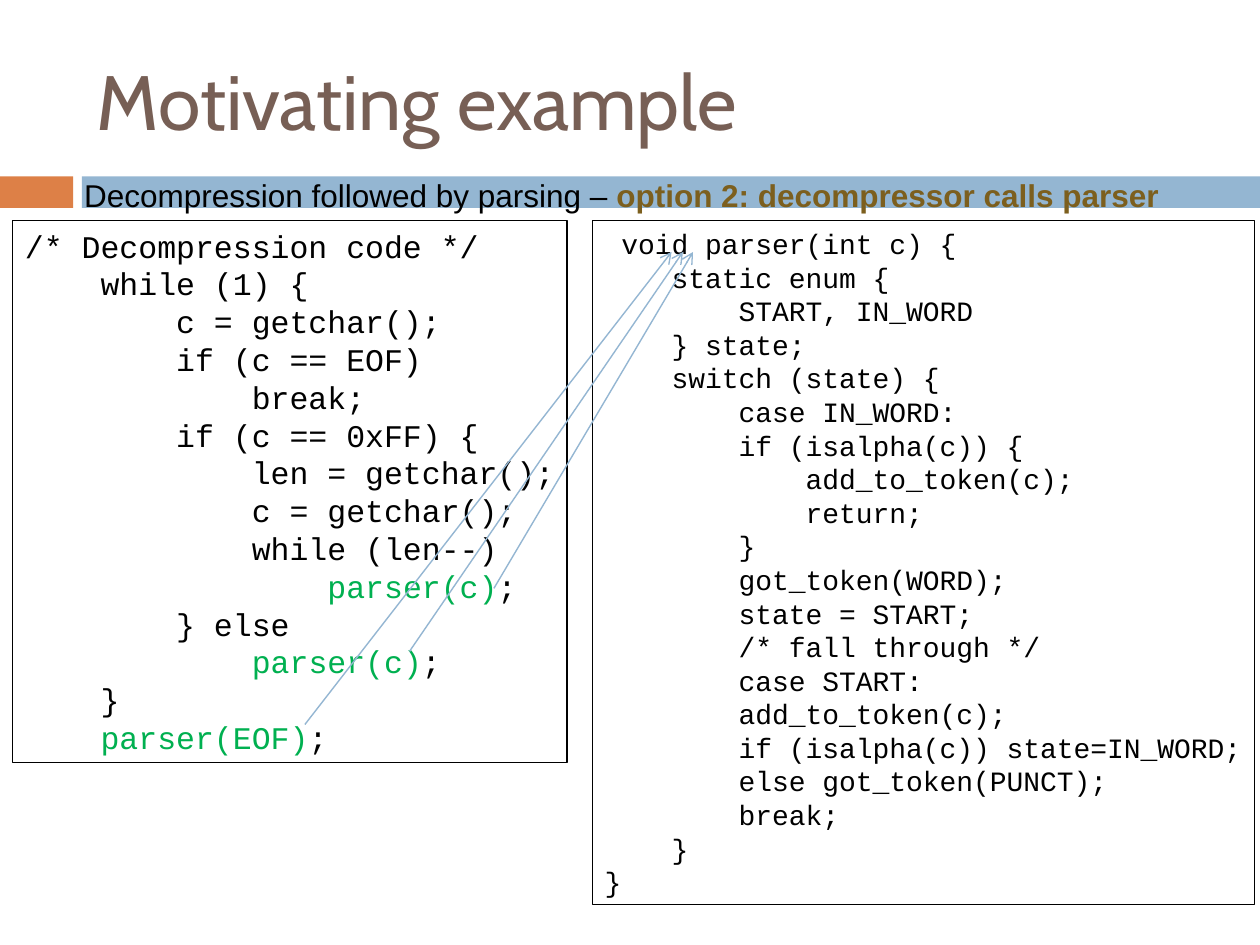
from dataclasses import dataclass

from lxml import etree
from pptx import Presentation
from pptx.dml.color import RGBColor
from pptx.enum import shapes, text
from pptx.oxml import ns
from pptx.util import Inches, Pt

BLACK, GREEN, BLUE, ORANGE = "000000", "00B050", "94B6D2", "DD8047"
BROWN, OCHRE = "775F55", "7C5F1E"

DECOMPRESSOR = """\
/* Decompression code */
    while (1) {
        c = getchar();
        if (c == EOF)
            break;
        if (c == 0xFF) {
            len = getchar();
            c = getchar();
            while (len--)
                parser(c);
        } else
            parser(c);
    }
    parser(EOF);"""

PARSER = """\
 void parser(int c) {
    static enum {
        START, IN_WORD
    } state;
    switch (state) {
        case IN_WORD:
        if (isalpha(c)) {
            add_to_token(c);
            return;
        }
        got_token(WORD);
        state = START;
        /* fall through */
        case START:
        add_to_token(c);
        if (isalpha(c)) state=IN_WORD;
        else got_token(PUNCT);
        break;
    }
}"""


@dataclass
class Box:
    left: float
    top: float
    width: float
    height: float

    def lengths(self):
        return [Inches(v) for v in (self.left, self.top, self.width, self.height)]


@dataclass
class Run:
    text: str
    color: str = BLACK
    bold: bool = False


@dataclass
class CodePanel:
    box: Box
    code: str
    size: int


@dataclass
class Call:
    """Arrow from a call in the left panel to the function it calls."""
    start: tuple[float, float]
    end: tuple[float, float]


BARS = [(Box(0, 1.4, 0.58, 0.25), ORANGE), (Box(0.65, 1.4, 9.35, 0.25), BLUE)]
PANELS = [
    CodePanel(Box(0.1, 1.75, 4.4, 4.3), DECOMPRESSOR, 18),
    CodePanel(Box(4.7, 1.75, 5.26, 5.43), PARSER, 16),
]
CALLS = [
    Call((3.92, 4.67), (5.5, 2)),
    Call((3.25, 5.17), (5.42, 2)),
    Call((2.42, 5.75), (5.33, 2)),
]


def rgb(color: str) -> RGBColor:
    return RGBColor.from_string(color)


def add_bar(slide, box: Box, color: str) -> None:
    bar = slide.shapes.add_shape(shapes.MSO_SHAPE.RECTANGLE, *box.lengths())
    bar.shadow.inherit = False
    bar.fill.solid()
    bar.fill.fore_color.rgb = rgb(color)
    bar.line.fill.background()


def add_text(slide, box: Box, lines: list[list[Run]], font: str, size: int):
    """Add an unwrapped text box that grows with its lines."""
    shape = slide.shapes.add_textbox(*box.lengths())
    frame = shape.text_frame
    frame.word_wrap = False
    frame.auto_size = text.MSO_AUTO_SIZE.SHAPE_TO_FIT_TEXT
    for index, line in enumerate(lines):
        paragraph = frame.paragraphs[0] if index == 0 else frame.add_paragraph()
        paragraph.font.name = font
        paragraph.font.size = Pt(size)
        for part in line:
            run = paragraph.add_run()
            run.text = part.text
            run.font.color.rgb = rgb(part.color)
            if part.bold:
                run.font.bold = True
    return shape


def code_runs(line: str) -> list[Run]:
    """Colour a statement that calls the parser, up to its semicolon."""
    statement = line.lstrip()
    if not statement.startswith("parser("):
        return [Run(line)]
    indent = line[:-len(statement)]
    return [Run(indent), Run(statement[:-1], GREEN), Run(";")]


def add_code(slide, panel: CodePanel) -> None:
    lines = [code_runs(line) for line in panel.code.split("\n")]
    shape = add_text(slide, panel.box, lines, "Courier New", panel.size)
    shape.line.color.rgb = rgb(BLACK)
    shape.line.width = Pt(0.75)


def add_arrow(slide, call: Call) -> None:
    ends = [Inches(v) for v in (*call.start, *call.end)]
    arrow = slide.shapes.add_connector(shapes.MSO_CONNECTOR.STRAIGHT, *ends)
    arrow.line.color.rgb = rgb(BLUE)
    arrow.line.width = Pt(0.79)
    line = arrow.line._get_or_add_ln()
    etree.SubElement(line, ns.qn("a:tailEnd"), type="arrow")
    etree.SubElement(arrow._element.spPr, ns.qn("a:effectLst"))


def main() -> None:
    presentation = Presentation()
    presentation.slide_width = Inches(10)
    presentation.slide_height = Inches(7.5)
    slide = presentation.slides.add_slide(presentation.slide_layouts[6])

    for box, color in BARS:
        add_bar(slide, box, color)
    title = add_text(slide, Box(0.67, 0.25, 8.92, 1.08),
                     [[Run("Motivating example", BROWN)]], "Cabin", 44)
    title.text_frame.word_wrap = True
    title.text_frame.auto_size = text.MSO_AUTO_SIZE.NONE
    title.text_frame.vertical_anchor = text.MSO_ANCHOR.MIDDLE
    for panel in PANELS:
        add_code(slide, panel)
    subtitle = [Run("Decompression followed by parsing – "),
                Run("option 2: decompressor calls parser", OCHRE, True)]
    add_text(slide, Box(0.57, 1.35, 8.73, 0.4), [subtitle], "Arial", 18)
    for call in CALLS:
        add_arrow(slide, call)
    presentation.save("out.pptx")


if __name__ == "__main__":
    main()
